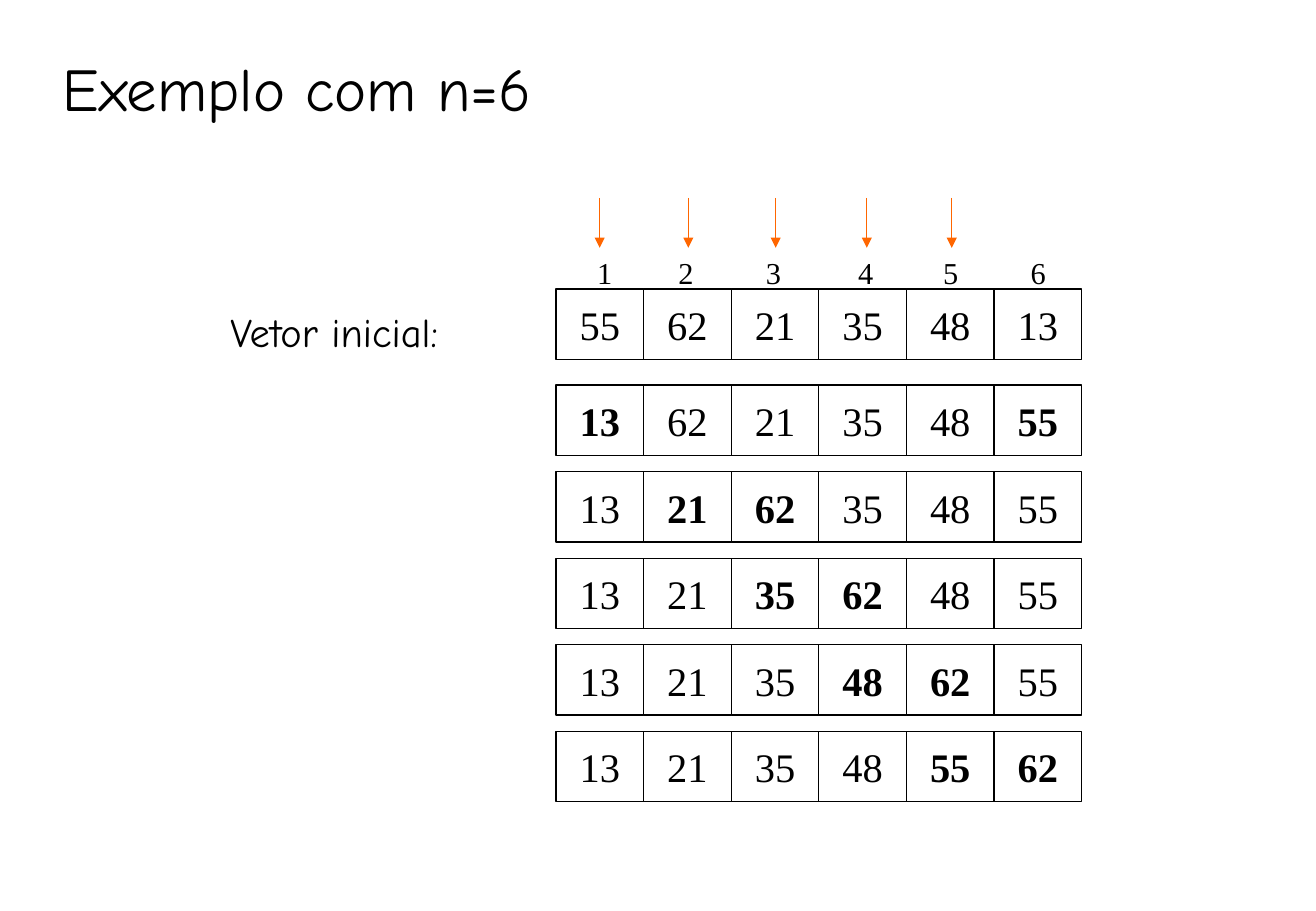
from dataclasses import dataclass

from lxml.etree import SubElement
from pptx import Presentation
from pptx.dml.color import RGBColor
from pptx.enum.shapes import MSO_CONNECTOR, MSO_SHAPE
from pptx.enum.text import MSO_ANCHOR, MSO_AUTO_SIZE, PP_ALIGN
from pptx.oxml.ns import qn
from pptx.util import Inches, Pt

TITLE = "Exemplo com n=6"
ROW_LABEL = "Vetor inicial:"

# Values of each vector, and the positions shown in bold (just swapped)
INITIAL_VECTOR = ((55, 62, 21, 35, 48, 13), ())
SORTING_STEPS = [
    ((13, 62, 21, 35, 48, 55), (1, 6)),
    ((13, 21, 62, 35, 48, 55), (2, 3)),
    ((13, 21, 35, 62, 48, 55), (3, 4)),
    ((13, 21, 35, 48, 62, 55), (4, 5)),
    ((13, 21, 35, 48, 55, 62), (5, 6)),
]
INDEX_LEFTS = [4.82, 5.49, 6.21, 6.97, 7.67, 8.39]
ARROW_CENTERS = [4.94, 5.67, 6.39, 7.14, 7.84]

VECTOR_LEFT, VECTOR_WIDTH = 4.58, 4.33
CELL_WIDTH, CELL_HEIGHT = VECTOR_WIDTH / 6, 0.58
INITIAL_TOP = 2.38
FIRST_STEP_TOP, LAST_STEP_TOP = 3.17, 6.02
STEP_PITCH = (LAST_STEP_TOP - FIRST_STEP_TOP) / (len(SORTING_STEPS) - 1)
ARROW_TOP, INDEX_TOP = 1.63, 2.04


@dataclass(frozen=True)
class Theme:
    ink: RGBColor = RGBColor(0, 0, 0)
    arrow: RGBColor = RGBColor(0xFF, 0x66, 0x00)
    heading_font: str = "Comic Neue"
    number_font: str = "Times New Roman"
    title_size: int = 36
    body_size: int = 24
    index_size: int = 18
    line_width: float = 0.75


THEME = Theme()


def write(shape, text, font_name, size, bold=False):
    """Put one run of text in a shape and return its paragraph."""
    paragraph = shape.text_frame.paragraphs[0]
    run = paragraph.add_run()
    run.text = text
    run.font.name = font_name
    run.font.size = Pt(size)
    run.font.bold = bold
    run.font.color.rgb = THEME.ink
    return paragraph


def add_label(shapes, text, box, font_name, size, wrap=True):
    label = shapes.add_textbox(*map(Inches, box))
    label.text_frame.word_wrap = wrap
    label.text_frame.auto_size = MSO_AUTO_SIZE.SHAPE_TO_FIT_TEXT
    write(label, text, font_name, size)
    return label


def add_vector(slide, top, values, bold_positions):
    """Add one group of adjoining cells, one for each value."""
    group = slide.shapes.add_group_shape()
    for position, value in enumerate(values, start=1):
        left = VECTOR_LEFT + (position - 1) * CELL_WIDTH
        cell = group.shapes.add_shape(
            MSO_SHAPE.RECTANGLE, Inches(left), Inches(top),
            Inches(CELL_WIDTH), Inches(CELL_HEIGHT))
        cell.shadow.inherit = False
        cell.fill.background()
        cell.line.color.rgb = THEME.ink
        cell.line.width = Pt(THEME.line_width)
        cell.text_frame.word_wrap = False
        cell.text_frame.vertical_anchor = MSO_ANCHOR.MIDDLE
        paragraph = write(cell, str(value), THEME.number_font,
                          THEME.body_size, position in bold_positions)
        paragraph.alignment = PP_ALIGN.CENTER


def add_arrow(slide, center):
    arrow = slide.shapes.add_connector(
        MSO_CONNECTOR.STRAIGHT, Inches(center), Inches(ARROW_TOP),
        Inches(center), Inches(INDEX_TOP))
    arrow.line.color.rgb = THEME.arrow
    arrow.line.width = Pt(THEME.line_width)
    SubElement(arrow.line._get_or_add_ln(), qn("a:tailEnd"), type="triangle")
    SubElement(arrow._element.spPr, qn("a:effectLst"))


def main():
    presentation = Presentation()
    presentation.slide_width = Inches(10.84)
    presentation.slide_height = Inches(7.5)
    slide = presentation.slides.add_slide(presentation.slide_layouts[6])

    title = add_label(slide.shapes, TITLE, (0.42, 0.25, 9.75, 0.83),
                      THEME.heading_font, THEME.title_size)
    title.text_frame.auto_size = MSO_AUTO_SIZE.NONE
    title.text_frame.vertical_anchor = MSO_ANCHOR.BOTTOM
    title.text_frame.paragraphs[0].line_spacing = 0.9

    add_vector(slide, INITIAL_TOP, *INITIAL_VECTOR)
    indices = slide.shapes.add_group_shape()
    for index, left in enumerate(INDEX_LEFTS, start=1):
        add_label(indices.shapes, str(index), (left, INDEX_TOP, 0.32, 0.4),
                  THEME.number_font, THEME.index_size, wrap=False)
    add_label(slide.shapes, ROW_LABEL, (1.8, 2.48, 2.29, 0.5),
              THEME.heading_font, THEME.body_size)

    for step, (values, bold_positions) in enumerate(SORTING_STEPS):
        add_vector(slide, FIRST_STEP_TOP + step * STEP_PITCH,
                   values, bold_positions)
    for center in ARROW_CENTERS:
        add_arrow(slide, center)

    presentation.save("out.pptx")


if __name__ == "__main__":
    main()
